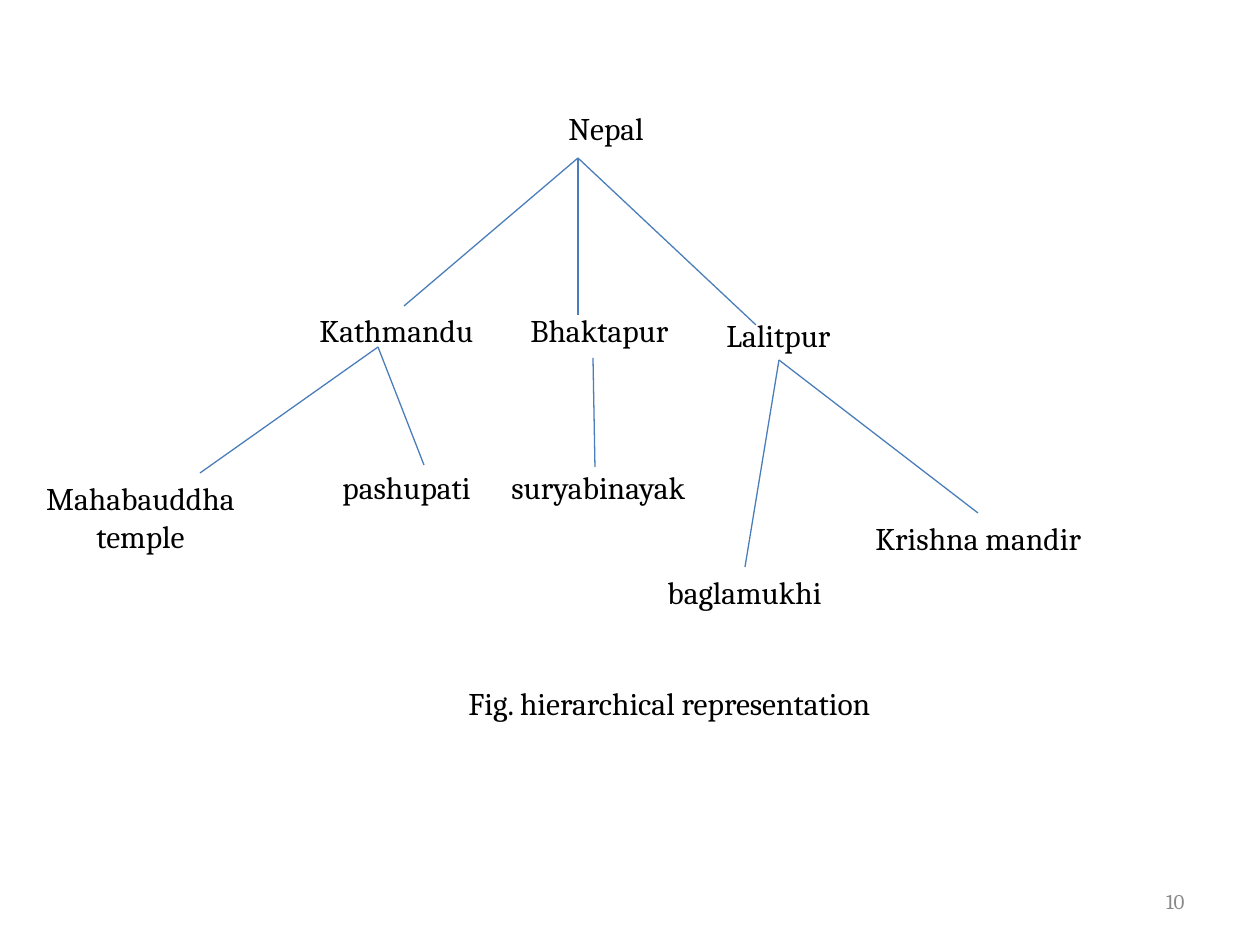
from lxml.etree import SubElement
from pptx import Presentation
from pptx.dml.color import RGBColor as RGB
from pptx.enum.shapes import MSO_CONNECTOR as CONN
from pptx.enum.text import MSO_ANCHOR as ANCHOR, MSO_AUTO_SIZE as FIT, PP_ALIGN as ALIGN
from pptx.oxml.ns import qn
from pptx.util import Pt

PX = 914400 / 126
COLORS = {"text": "000000", "line": "4A7EBB", "page": "898989"}


def px(*vals):
    return [round(v * PX) for v in vals]


def label(text, x, y, w, h=50, size=18, color="text", align=ALIGN.LEFT):
    frame = slide.shapes.add_textbox(*px(x, y, w, h)).text_frame
    frame.word_wrap = False
    frame.auto_size = FIT.SHAPE_TO_FIT_TEXT
    frame.text = text
    for para in frame.paragraphs:
        para.alignment = align
        para.font.name = "Cambria"
        para.font.size = Pt(size)
        para.font.color.rgb = RGB.from_string(COLORS[color])
    return frame


deck = Presentation()
deck.slide_width, deck.slide_height = px(1260, 945)
slide = deck.slides.add_slide(deck.slide_layouts[6])

# Branches: each parent point with the points of its children
branches = [
    ((578, 158), [(404, 306), (578, 315), (756, 325)]),  # Nepal
    ((378, 347), [(200, 473), (424, 465)]),  # Kathmandu
    ((593, 358), [(595, 467)]),  # Bhaktapur
    ((779, 360), [(745, 567), (978, 513)]),  # Lalitpur
]
for start, ends in branches:
    for end in ends:
        edge = slide.shapes.add_connector(CONN.STRAIGHT, *px(*start, *end))
        edge.line.color.rgb = RGB.from_string(COLORS["line"])
        edge.line.width = Pt(0.75)
        SubElement(edge._element.spPr, qn("a:effectLst"))

# Tree labels and caption: text, left, top, width
labels = [
    ("Nepal", 556, 103, 102),
    ("Kathmandu", 307, 305, 180),
    ("Bhaktapur", 518, 305, 164),
    ("Lalitpur", 714, 310, 131),
    ("pashupati", 330, 462, 156),
    ("suryabinayak", 499, 462, 202),
    ("baglamukhi", 655, 567, 182),
    ("Krishna mandir", 863, 513, 232),
    ("Fig. hierarchical representation", 456, 678, 432),
]
for item in labels:
    label(*item)
label("Mahabauddha\ntemple", 32, 473, 217, 88, align=ALIGN.CENTER)

# Page number
page = label("10", 903, 876, 294, size=12, color="page", align=ALIGN.RIGHT)
page.word_wrap = True
page.auto_size = FIT.NONE
page.vertical_anchor = ANCHOR.MIDDLE

deck.save("out.pptx")
